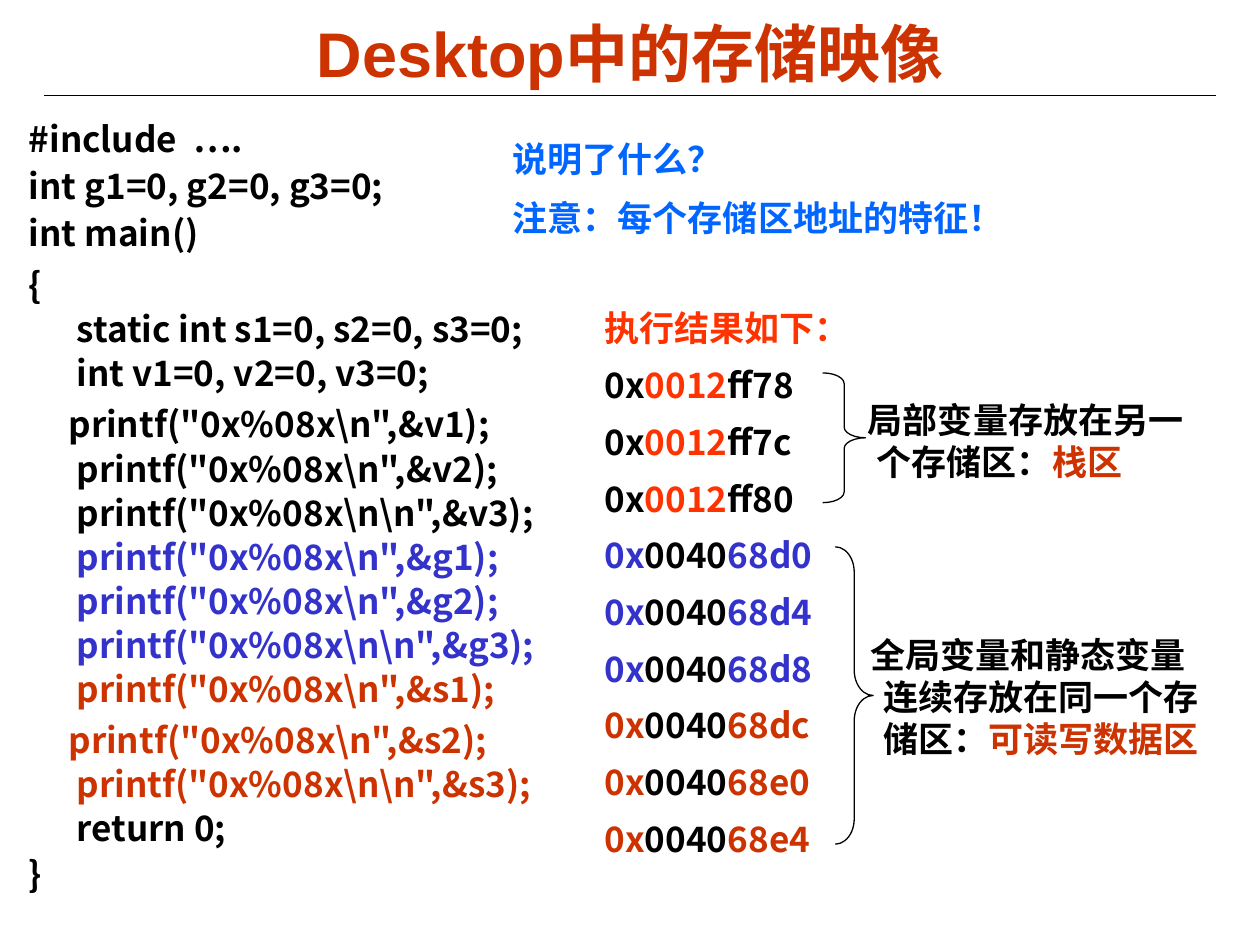
from dataclasses import dataclass
from lxml.etree import SubElement
from pptx import Presentation
from pptx.dml.color import RGBColor
from pptx.enum.shapes import MSO_CONNECTOR as Link, MSO_SHAPE as Form
from pptx.enum.text import MSO_ANCHOR as Anchor, PP_ALIGN as Align
from pptx.oxml.ns import qn
from pptx.util import Inches, Pt

BLACK, BLUE, RUST, RED, SKY = "000000", "3333CC", "CC3300", "FF3300", "0066FF"


def paint(part, tone):
    part.rgb = RGBColor.from_string(tone)


def put(part, fmt):
    for key, val in fmt.items():
        setattr(part, key, val)


@dataclass
class Page:
    """Draws styled parts on one slide, placed on a 100 by 75 grid."""
    deck: object
    slide: object
    face: str = "Noto Sans CJK SC"
    size: int = 20
    cols: int = 100
    rows: int = 75

    def spot(self, x, y, w, h):
        dx, dy = self.deck.slide_width / self.cols, self.deck.slide_height / self.rows
        return [round(n) for n in (x * dx, y * dy, w * dx, h * dy)]

    def pen(self, shape):
        paint(shape.line.fill.fore_color if shape.line.fill.solid() else shape.line.color, BLACK)
        shape.line.width = Pt(0.75)

    def rule(self, x, y, w):
        left, top, wide, _ = self.spot(x, y, w, 0)
        line = self.slide.shapes.add_connector(Link.STRAIGHT, left, top, left + wide, top)
        SubElement(line._element.spPr, qn("a:effectLst"))
        self.pen(line)

    def brace(self, box, bend):
        shape = self.slide.shapes.add_shape(Form.RIGHT_BRACE, *self.spot(*box))
        shape.shadow.inherit = False
        shape.fill.background()
        shape.adjustments[0] = bend
        self.pen(shape)

    def run(self, para, text, tone, font):
        for i, line in enumerate(text.split("\n")):
            if i:
                para.add_line_break()
            if line:
                part = para.add_run()
                part.text = line
                put(part.font, {"size": Pt(self.size), "name": self.face, "bold": True} | font)
                paint(part.font.color, tone)
                SubElement(part.font._element, qn("a:ea"), typeface=self.face)

    def text(self, box, paras, fmt=None, font=None, hang=None, anchor=Anchor.TOP):
        frame = self.slide.shapes.add_textbox(*self.spot(*box)).text_frame
        put(frame, {"word_wrap": True, "vertical_anchor": anchor})
        for i, (runs, more) in enumerate(paras):
            para = frame.paragraphs[0] if i == 0 else frame.add_paragraph()
            put(para, (fmt or {}) | more)
            if i == 0:
                para.space_before = Pt(0)
            if hang:
                props = para._p.get_or_add_pPr()
                props.set("marL", str(Inches(0.38)))
                props.set("indent", str(Inches(hang)))
            for text, tone in runs:
                self.run(para, text, tone, font or {})


def call(name, tail=r"\n"):
    return f'printf("0x%08x{tail}",&{name});'


def trio(kind):
    return "\n".join([call(kind + "1"), call(kind + "2"), call(kind + "3", r"\n\n")])


def main():
    deck = Presentation()
    put(deck, {"slide_width": Inches(10), "slide_height": Inches(7.5)})
    page = Page(deck, deck.slides.add_slide(deck.slide_layouts[6]))

    page.rule(3.5, 7.6, 93)
    page.text((5, 1.1, 90, 6.1), [([("Desktop中的存储映像", RUST)], {})],
              {"alignment": Align.CENTER}, {"size": Pt(36), "name": "Arial"}, anchor=Anchor.MIDDLE)

    tight, loose = {"line_spacing": 0.95}, {"line_spacing": 1.05}
    pad = " " * 5
    head = ["#include  ….", "int g1=0, g2=0, g3=0;", "int main()"]
    code = [([(line, BLACK)], tight) for line in head] + [
        ([("{\nstatic int s1=0, s2=0, s3=0;\nint v1=0, v2=0, v3=0;", BLACK)], loose),
        ([(pad + trio("v") + "\n", BLACK), (trio("g") + "\n", BLUE), (call("s1"), RUST)], loose),
        ([(pad + call("s2") + "\n" + call("s3", r"\n\n") + "\n", RUST), ("return 0;", BLACK)], loose),
        ([("}", BLACK)], tight)]
    page.text((1.3, 9.1, 47.3, 63.3), code, {"space_before": Pt(4)}, hang=-0.38)

    groups = [("0012", BLACK, RED, "ff78 ff7c ff80"),
              ("0040", BLUE, BLACK, "68d0 68d4 68d8"),
              ("0040", RUST, BLACK, "68dc 68e0 68e4")]
    result = [([("执行结果如下：", RED)], {})] + [
        ([("0x", tone), (high, mark), (low, tone)], {})
        for high, tone, mark, lows in groups for low in lows.split()]
    page.text((47, 22.7, 21.5, 46), result, {"line_spacing": 1.35}, anchor=Anchor.MIDDLE)

    asks = ["说明了什么？", "注意：每个存储区地址的特征！"]
    page.text((39.7, 10.4, 54.1, 9.3), [([(ask, SKY)], {}) for ask in asks],
              {"space_before": Pt(10)}, hang=-0.38)

    notes = [((66.3, 43.4, 3, 23.6), 0.67, (65.3, 49.8, 31.5, 11), -0.1,
              "全局变量和静态变量连续存放在同一个存储区：", "可读写数据区"),
             ((65.3, 29.6, 3.4, 10.3), 0.25, (64.8, 31.1, 31.5, 7.7), -0.07,
              "局部变量存放在另一个存储区：", "栈区")]
    for curve, bend, box, hang, fact, zone in notes:
        page.brace(curve, bend)
        page.text(box, [([(fact, BLACK), (zone, RUST)], {})], hang=hang)

    deck.save("out.pptx")


if __name__ == "__main__":
    main()
